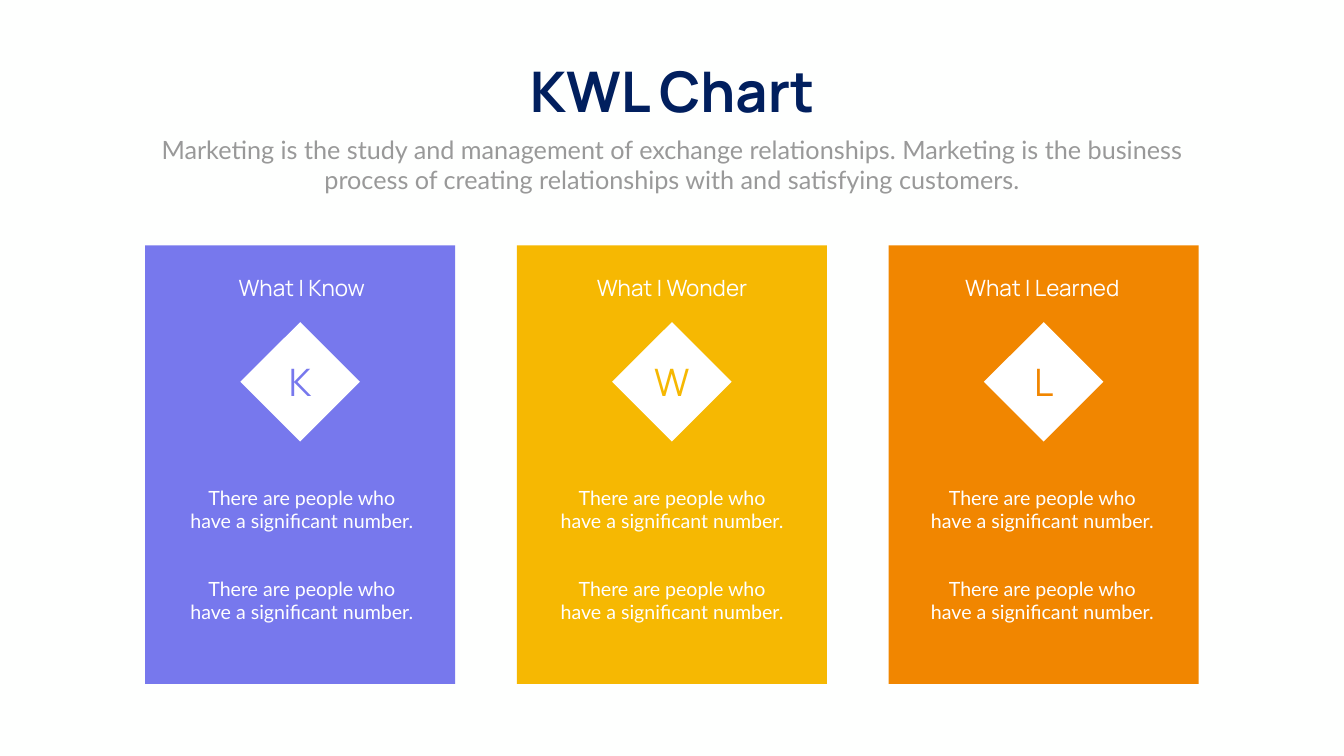
from dataclasses import dataclass

from pptx import Presentation
from pptx.dml.color import RGBColor as RGB
from pptx.enum.shapes import MSO_SHAPE as SHAPE
from pptx.enum.text import MSO_ANCHOR as ANCHOR, MSO_AUTO_SIZE as AUTO, PP_ALIGN as ALIGN
from pptx.util import Inches, Pt


@dataclass(frozen=True)
class Theme:
    """Colours, fonts and type sizes of the slide."""
    back: str = "FEFFFE"
    white: str = "FFFFFF"
    navy: str = "011F5E"
    grey: str = "999999"
    violet: str = "7778ED"
    yellow: str = "F6B802"
    orange: str = "F18600"
    display: str = "Manrope"
    body: str = "Lato"
    title: int = 80
    letter: int = 54
    intro: int = 36
    heading: int = 32
    note: int = 28


@dataclass(frozen=True)
class Box:
    """A rectangle in inches that is divided into 100 columns and 100 rows."""
    x: float
    y: float
    w: float
    h: float

    def cell(self, col, row, cols, rows):
        """Return the box at the given columns and rows."""
        return Box(self.x + self.w * col / 100, self.y + self.h * row / 100,
                   self.w * cols / 100, self.h * rows / 100)

    def place(self):
        """Return left, top, width and height as lengths."""
        return [Inches(v) for v in (self.x, self.y, self.w, self.h)]


T = Theme()
PAGE = Box(0, 0, 26.66, 15)
CARD_TOP, CARD_ROWS = 32.47, 58
CARD_LEFT, CARD_COLS, CARD_STEP = 10.8, 23.07, 27.66
TEXT_LEFT, TEXT_COLS, TEXT_STEP = 13.77, 17.37, 27.55
NOTE_TOP, NOTE_ROWS, NOTE_STEP = 54.25, 11.95, 20.69
NOTES = ["There are people who have a significant number."] * 2
CARDS = [
    ("K", "What I Know", T.violet, 80.78),
    ("W", "What I Wonder", T.yellow, 103.02),
    ("L", "What I Learned", T.orange, 95.25),
]


def write(s, text, size, color, name, bold=False, inset=0, **frame):
    """Write one centred paragraph into a shape."""
    tf = s.text_frame
    sides = ("margin_left", "margin_top", "margin_right", "margin_bottom")
    formats = {"word_wrap": True, "auto_size": AUTO.NONE, "vertical_anchor": ANCHOR.TOP}
    for key, value in {**formats, **dict.fromkeys(sides, Inches(inset)), **frame}.items():
        setattr(tf, key, value)
    p = tf.paragraphs[0]
    p.alignment = ALIGN.CENTER
    r = p.add_run()
    r.text = text
    for key, value in {"size": Pt(size), "name": name, "bold": bold}.items():
        setattr(r.font, key, value)
    r.font.color.rgb = RGB.from_string(color)


def label(slide, box, *args, **formats):
    """Add a text box."""
    write(slide.shapes.add_textbox(*box.place()), *args, **formats)


def solid(slide, kind, box, color):
    """Add a plain filled shape without outline."""
    s = slide.shapes.add_shape(kind, *box.place())
    s.shadow.inherit = False
    s.fill.solid()
    s.fill.fore_color.rgb = RGB.from_string(color)
    s.line.fill.background()
    return s


def header(slide, box):
    """Place the title and the introduction."""
    label(slide, box.cell(38.3, 7.47, 23.44, 9.67), "KWL Chart",
          T.title, T.navy, T.display, bold=True, word_wrap=False)
    label(slide, box.cell(10.95, 17.4, 78.09, 8.73),
          "Marketing is the study and management of exchange relationships. "
          "Marketing is the business process of creating relationships with "
          "and satisfying customers.", T.intro, T.grey, T.body, inset=0.05)


def card(slide, box, letter, color):
    """Place a coloured card with its lettered diamond."""
    solid(slide, SHAPE.RECTANGLE, box, color)
    s = solid(slide, SHAPE.DIAMOND, box.cell(30.73, 17.47, 38.54, 27.24), T.white)
    write(s, letter, T.letter, color, T.display, vertical_anchor=ANCHOR.MIDDLE)


def card_text(slide, box, heading, cols):
    """Place the heading and the notes of a card."""
    label(slide, box.cell((100 - cols) / 2, 6.55, cols, 7.36), heading,
          T.heading, T.white, T.display)
    for i, note in enumerate(NOTES):
        label(slide, box.cell(0, NOTE_TOP + i * NOTE_STEP, 100, NOTE_ROWS), note,
              T.note, T.white, T.body, inset=0.05)


def main():
    """Build and save the slide."""
    prs = Presentation()
    prs.slide_width, prs.slide_height = Inches(PAGE.w), Inches(PAGE.h)
    slide = prs.slides.add_slide(prs.slide_layouts[6])
    fill = slide.background.fill
    fill.solid()
    fill.fore_color.rgb = RGB.from_string(T.back)
    header(slide, PAGE)
    for i, (letter, heading, color, cols) in enumerate(CARDS):
        card(slide, PAGE.cell(CARD_LEFT + i * CARD_STEP, CARD_TOP, CARD_COLS, CARD_ROWS),
             letter, color)
        card_text(slide, PAGE.cell(TEXT_LEFT + i * TEXT_STEP, CARD_TOP, TEXT_COLS, CARD_ROWS),
                  heading, cols)
    prs.save("out.pptx")


if __name__ == "__main__":
    main()
